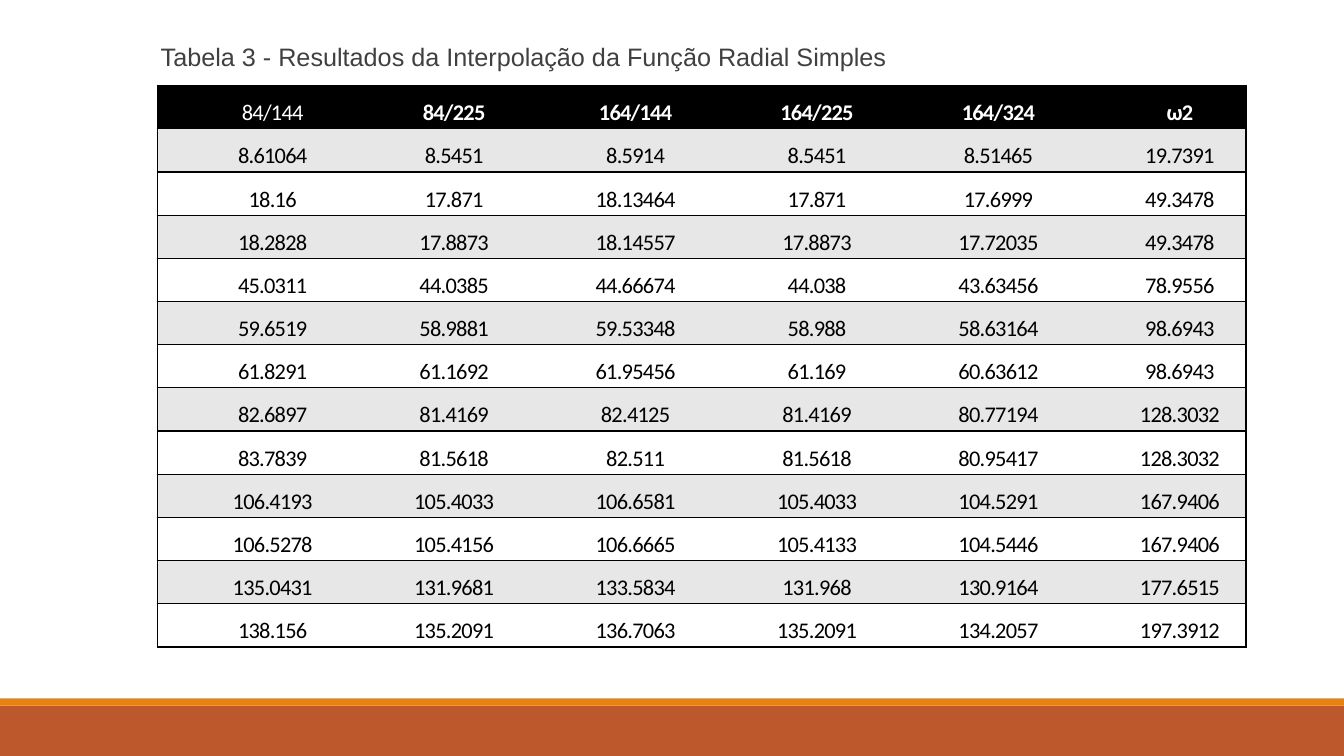
from dataclasses import dataclass

from lxml import etree
from pptx import Presentation
from pptx import util as u
from pptx.dml.color import RGBColor
from pptx.enum import shapes, text
from pptx.oxml.ns import qn

WIDE, HIGH = u.Inches(13.33), u.Inches(7.5)
BLACK, WHITE, GREY = "000000", "FFFFFF", "E7E7E7"
RUST, AMBER, DARK = "BD582C", "E48312", "404040"

TITLE = "Tabela 3 - Resultados da Interpolação da Função Radial Simples"
HEAD = ["84/144", "84/225", "164/144", "164/225", "164/324", "ω2"]
DATA = [
    ["8.61064", "8.5451", "8.5914", "8.5451", "8.51465", "19.7391"],
    ["18.16", "17.871", "18.13464", "17.871", "17.6999", "49.3478"],
    ["18.2828", "17.8873", "18.14557", "17.8873", "17.72035", "49.3478"],
    ["45.0311", "44.0385", "44.66674", "44.038", "43.63456", "78.9556"],
    ["59.6519", "58.9881", "59.53348", "58.988", "58.63164", "98.6943"],
    ["61.8291", "61.1692", "61.95456", "61.169", "60.63612", "98.6943"],
    ["82.6897", "81.4169", "82.4125", "81.4169", "80.77194", "128.3032"],
    ["83.7839", "81.5618", "82.511", "81.5618", "80.95417", "128.3032"],
    ["106.4193", "105.4033", "106.6581", "105.4033", "104.5291", "167.9406"],
    ["106.5278", "105.4156", "106.6665", "105.4133", "104.5446", "167.9406"],
    ["135.0431", "131.9681", "133.5834", "131.968", "130.9164", "177.6515"],
    ["138.156", "135.2091", "136.7063", "135.2091", "134.2057", "197.3912"],
]


@dataclass
class Area:
    """A box in percent of the slide's width and height."""
    left: float
    top: float
    width: float
    height: float

    def box(self) -> tuple[int, int, int, int]:
        return (int(WIDE * self.left / 100), int(HIGH * self.top / 100),
                int(WIDE * self.width / 100), int(HIGH * self.height / 100))


@dataclass
class Band:
    area: Area
    fill: str


@dataclass
class Look:
    font: str
    size: int
    tint: str
    bold: bool = False


BANDS = [Band(Area(0, 93.33, 100, 6.67), RUST),
         Band(Area(0, 92.36, 100, 0.97), AMBER)]
CAPTION = Area(10.28, 5.2, 82.5, 86.4)
GRID = Area(11.7, 11.33, 81.02, 74.27)


def tone(code: str) -> RGBColor:
    return RGBColor.from_string(code)


def add_run(para, words: str, look: Look):
    run = para.add_run()
    run.text = words
    run.font.name, run.font.size = look.font, u.Pt(look.size)
    run.font.bold = look.bold
    run.font.color.rgb = tone(look.tint)
    return run


def indent(para, margin: float, first: float):
    props = para._p.get_or_add_pPr()
    props.set("marL", str(u.Inches(margin)))
    props.set("indent", str(u.Inches(first)))
    return props


def draw_band(slide, band: Band) -> None:
    shape = slide.shapes.add_shape(shapes.MSO_SHAPE.RECTANGLE, *band.area.box())
    shape.shadow.inherit = False
    shape.fill.solid()
    shape.fill.fore_color.rgb = tone(band.fill)
    shape.line.fill.background()


def draw_title(slide) -> None:
    frame = slide.shapes.add_textbox(*CAPTION.box()).text_frame
    frame.word_wrap = True
    para = frame.paragraphs[0]
    para.alignment = text.PP_ALIGN.JUSTIFY
    para.line_spacing = 0.9
    para.space_before, para.space_after = u.Pt(12), u.Pt(2)
    props = indent(para, 0.1, -0.1)
    tint = etree.SubElement(props, qn("a:buClr"))
    etree.SubElement(tint, qn("a:srgbClr"), val=AMBER)
    etree.SubElement(props, qn("a:buChar"), char=" ")
    add_run(para, TITLE, Look("Arial", 18, DARK))


def add_edge(cell, side: str, shown: bool) -> None:
    props = cell._tc.get_or_add_tcPr()
    line = etree.SubElement(props, qn(f"a:ln{side}"), w=str(u.Pt(1)))
    if shown:
        fill = etree.SubElement(line, qn("a:solidFill"))
        etree.SubElement(fill, qn("a:srgbClr"), val=BLACK)
    else:
        etree.SubElement(line, qn("a:noFill"))


def draw_cell(cell, words: str, look: Look, fill: str, edges: str) -> None:
    cell.margin_left = cell.margin_right = u.Inches(0.05)
    cell.margin_top = cell.margin_bottom = 0
    for side in "LRTB":
        add_edge(cell, side, side in edges)
    cell.fill.solid()
    cell.fill.fore_color.rgb = tone(fill)
    para = cell.text_frame.paragraphs[0]
    para.alignment = text.PP_ALIGN.CENTER
    para.line_spacing, para.space_after = 1.5, u.Pt(8)
    indent(para, 0, 0.49)
    run = add_run(para, words, look)
    run.font._element.set("spc", "-50")


def draw_table(slide) -> None:
    rows = [HEAD, *DATA]
    last = len(HEAD) - 1
    table = slide.shapes.add_table(len(rows), len(HEAD), *GRID.box()).table
    for r, row in enumerate(rows):
        fill = BLACK if r == 0 else GREY if r % 2 else WHITE
        for c, words in enumerate(row):
            tint = WHITE if r == 0 else BLACK
            look = Look("Calibri", 16, tint, r == 0 and c > 0)
            edges = "TB" + ("L" if c == 0 else "R" if c == last else "")
            draw_cell(table.cell(r, c), words, look, fill, edges)


def main() -> None:
    deck = Presentation()
    deck.slide_width, deck.slide_height = WIDE, HIGH
    slide = deck.slides.add_slide(deck.slide_layouts[6])
    # Footer bands
    for band in BANDS:
        draw_band(slide, band)
    # Caption and results
    draw_title(slide)
    draw_table(slide)
    deck.save("out.pptx")


if __name__ == "__main__":
    main()
